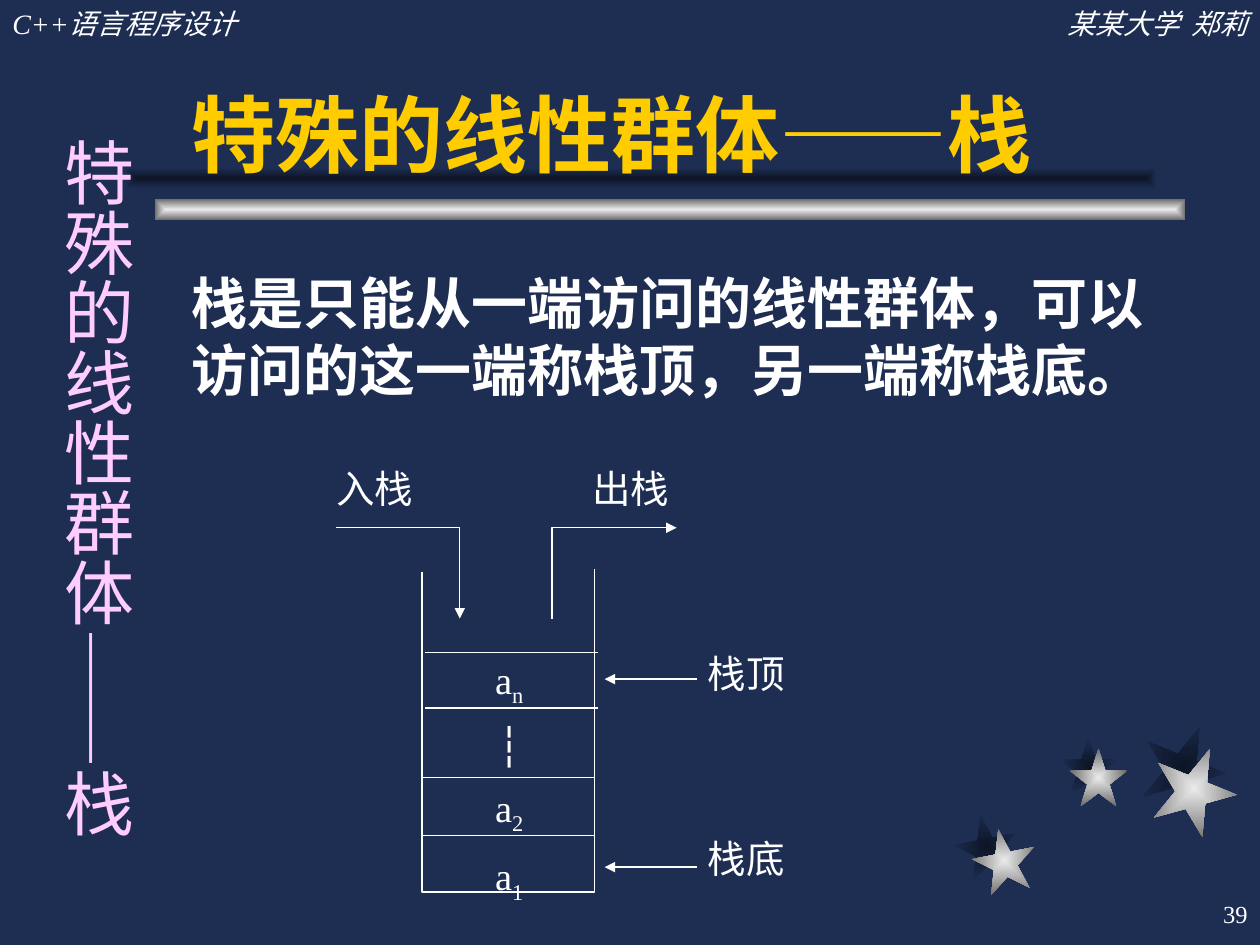
from dataclasses import dataclass
from typing import Any, Optional

from lxml import etree
from pptx import Presentation
from pptx import util as u
from pptx.dml.color import RGBColor
from pptx.enum import shapes, text
from pptx.oxml import ns


@dataclass(frozen=True)
class Theme:
    background: str = "1E2E53"
    shade: str = "0D1526"
    silver: str = "EAEAEA"
    grey: str = "6B6B6B"
    gold: str = "FFCC00"
    pink: str = "FFCCFF"
    white: str = "FFFFFF"
    sans: str = "Arial"
    serif: str = "Times New Roman"
    chinese: str = "Noto Sans CJK SC"
    title: int = 48
    side_title: int = 40
    body: int = 32
    diagram: int = 22
    header: int = 16
    number: int = 14
    line: float = 0.75


THEME = Theme()
LIGHT = (THEME.silver, THEME.grey)
DARK = (THEME.shade, THEME.background)
ALIGN = text.PP_ALIGN
ANCHOR = text.MSO_ANCHOR


@dataclass(frozen=True)
class Box:
    """Position and size in centimetres."""
    left: float
    top: float
    width: float
    height: float

    def emu(self) -> list[int]:
        return [u.Cm(v) for v in (self.left, self.top, self.width, self.height)]


@dataclass(frozen=True)
class Star:
    size: float
    rotation: int
    front: tuple[float, float]
    shadow: tuple[float, float]


@dataclass(frozen=True)
class Label:
    words: str
    box: Box
    size: int = THEME.diagram
    font: str = THEME.serif
    color: str = THEME.white
    bold: bool = False
    italic: bool = False
    align: ALIGN = ALIGN.LEFT
    anchor: ANCHOR = ANCHOR.TOP
    before: float = 0
    spacing: float = 1.0
    insets: tuple[float, float] = (0, 0)
    vertical: bool = False


PADDED = (0.25, 0.13)

STARS = [
    Star(1.27, 349, (19.61, 16.71), (19.25, 16.43)),
    Star(1.17, 0, (21.56, 15.09), (21.36, 14.86)),
    Star(1.7, 22, (23.22, 15.04), (23.01, 14.61)),
]

HEADING = "特殊的线性群体——栈"
LABELS = [
    Label("C++语言程序设计", Box(0, 0, 7.82, 0.94), THEME.header, italic=True,
          before=10, insets=PADDED),
    Label("某某大学  郑莉", Box(17.58, 0, 7.82, 0.94), THEME.header, italic=True,
          align=ALIGN.RIGHT, before=10, insets=PADDED),
    Label(HEADING, Box(3.61, 0.64, 19.89, 3.18), THEME.title, THEME.sans,
          THEME.gold, bold=True, anchor=ANCHOR.BOTTOM, insets=PADDED),
    Label("栈是只能从一端访问的线性群体，可以访问的这一端称栈顶，另一端称栈底。",
          Box(3.61, 5.28, 20.12, 4.88), THEME.body, THEME.sans, bold=True,
          before=8, insets=PADDED),
    Label(HEADING, Box(0.76, 2.54, 2.18, 14.6), THEME.side_title, THEME.chinese,
          THEME.pink, before=25, insets=(0.13, 0.25), vertical=True),
    Label("39", Box(20.12, 17.78, 5.28, 1.27), THEME.number, align=ALIGN.RIGHT,
          anchor=ANCHOR.MIDDLE, insets=PADDED),
    Label("入栈", Box(6.78, 9.37, 2.39, 1.09), align=ALIGN.JUSTIFY),
    Label("出栈", Box(11.94, 9.37, 2.39, 1.09), align=ALIGN.JUSTIFY),
    Label("栈顶", Box(14.27, 13.11, 4.14, 1.17), align=ALIGN.JUSTIFY),
    Label("栈底", Box(14.27, 16.84, 4.14, 1.17), align=ALIGN.JUSTIFY),
]

# An underscore comes before a subscript
STACK_ITEMS = Label("a_n\n┆\na_2\na_1", Box(8.69, 12.9, 3.15, 5.05),
                    align=ALIGN.CENTER, spacing=1.3)
STACK_LEFT, STACK_RIGHT, STACK_BOTTOM = 8.51, 11.99, 17.98
STACK_WALLS = [(STACK_LEFT, 11.53), (STACK_LEFT, STACK_BOTTOM),
               (STACK_RIGHT, STACK_BOTTOM), (STACK_RIGHT, 11.48)]
DIVIDERS = [(13.16, 0.06), (14.27, 0.06), (15.67, 0), (16.84, 0)]  # y, shift right
PUSH = [(6.78, 10.64), (9.27, 10.64), (9.27, 12.47)]
POP = [(11.13, 12.47), (11.13, 10.64), (13.64, 10.64)]
POINTER_HEIGHTS = [13.69, 17.48]


def add_gradient_shape(slide: Any, kind: shapes.MSO_SHAPE, box: Box,
                       colors: tuple[str, str], rotation: int = 0) -> None:
    shape = slide.shapes.add_shape(kind, *box.emu())
    shape.shadow.inherit = False
    shape.rotation = rotation
    shape.line.fill.background()
    shape.fill.gradient()
    for stop, color, position in zip(shape.fill.gradient_stops, colors, (0, 1)):
        stop.color.rgb = RGBColor.from_string(color)
        stop.position = position
    # Rectangular gradient from the centre instead of a linear one
    gradient = shape._element.spPr.find(ns.qn("a:gradFill"))
    gradient.remove(gradient.find(ns.qn("a:lin")))
    route = etree.SubElement(gradient, ns.qn("a:path"), {"path": "rect"})
    etree.SubElement(route, ns.qn("a:fillToRect"), dict.fromkeys("ltrb", "50000"))


def style_line(shape: Any, arrow: bool) -> None:
    shape.line.color.rgb = RGBColor.from_string(THEME.white)
    shape.line.width = u.Pt(THEME.line)
    if arrow:
        line = shape.line._get_or_add_ln()
        etree.SubElement(line, ns.qn("a:tailEnd"), {"type": "triangle"})


def add_path(slide: Any, points: list[tuple[float, float]], arrow: bool = False) -> None:
    start, *rest = [(u.Cm(x), u.Cm(y)) for x, y in points]
    builder = slide.shapes.build_freeform(*start)
    builder.add_line_segments(rest, close=False)
    shape = builder.convert_to_shape()
    shape.shadow.inherit = False
    shape.fill.background()
    style_line(shape, arrow)


def add_level_line(slide: Any, start: float, end: float, y: float,
                   arrow: bool = False) -> None:
    connector = slide.shapes.add_connector(
        shapes.MSO_CONNECTOR.STRAIGHT, u.Cm(start), u.Cm(y), u.Cm(end), u.Cm(y))
    style_line(connector, arrow)
    etree.SubElement(connector._element.spPr, ns.qn("a:effectLst"))


def format_run(run: Any, label: Label, baseline: Optional[str] = None) -> None:
    run.font.size = u.Pt(label.size)
    run.font.name = label.font
    run.font.bold = label.bold
    run.font.italic = label.italic
    run.font.color.rgb = RGBColor.from_string(label.color)
    properties = run.font._element
    etree.SubElement(properties, ns.qn("a:ea"), {"typeface": THEME.chinese})
    if baseline:
        properties.set("baseline", baseline)


def add_label(slide: Any, label: Label) -> None:
    frame = slide.shapes.add_textbox(*label.box.emu()).text_frame
    frame.word_wrap = True
    frame.vertical_anchor = label.anchor
    frame.margin_left = frame.margin_right = u.Cm(label.insets[0])
    frame.margin_top = frame.margin_bottom = u.Cm(label.insets[1])
    if label.vertical:
        frame._element.bodyPr.set("vert", "eaVert")
    frame.text = label.words
    for paragraph in frame.paragraphs:
        paragraph.alignment = label.align
        paragraph.space_before = u.Pt(label.before)
        paragraph.line_spacing = label.spacing
        base, _, subscript = paragraph.text.partition("_")
        paragraph.runs[0].text = base
        format_run(paragraph.runs[0], label)
        if subscript:
            run = paragraph.add_run()
            run.text = subscript
            format_run(run, label, "-25000")


def main() -> None:
    presentation = Presentation()
    presentation.slide_width, presentation.slide_height = u.Cm(25.4), u.Cm(19.05)
    slide = presentation.slides.add_slide(presentation.slide_layouts[6])
    slide.background.fill.solid()
    slide.background.fill.fore_color.rgb = RGBColor.from_string(THEME.background)

    # Stars with their shadows behind, then the title rule
    for colors, layer in ((DARK, "shadow"), (LIGHT, "front")):
        for star in STARS:
            box = Box(*getattr(star, layer), star.size, star.size)
            add_gradient_shape(slide, shapes.MSO_SHAPE.STAR_5_POINT, box, colors,
                               star.rotation)
    for colors, left, top in ((LIGHT, 3.12, 4.01), (DARK, 2.54, 3.38)):
        add_gradient_shape(slide, shapes.MSO_SHAPE.RECTANGLE,
                           Box(left, top, 20.78, 0.43), colors)

    # Stack diagram
    add_path(slide, STACK_WALLS)
    add_label(slide, STACK_ITEMS)
    for y, shift in DIVIDERS:
        add_level_line(slide, STACK_LEFT + shift, STACK_RIGHT + shift, y)
    for route in (PUSH, POP):
        add_path(slide, route, arrow=True)
    for y in POINTER_HEIGHTS:
        add_level_line(slide, 14.05, 12.19, y, arrow=True)

    # Headings, body and diagram labels
    for label in LABELS:
        add_label(slide, label)

    presentation.save("out.pptx")


if __name__ == "__main__":
    main()
